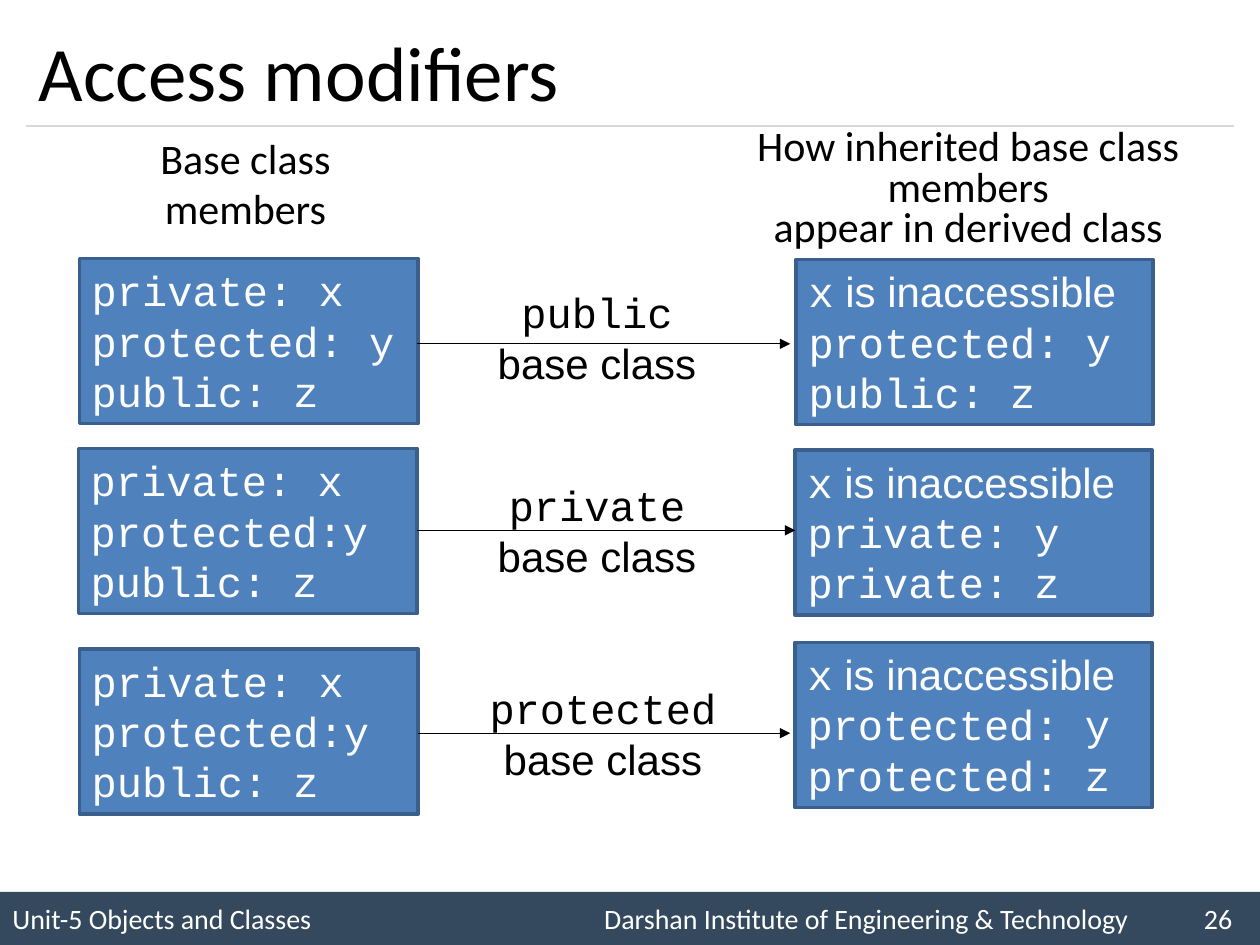
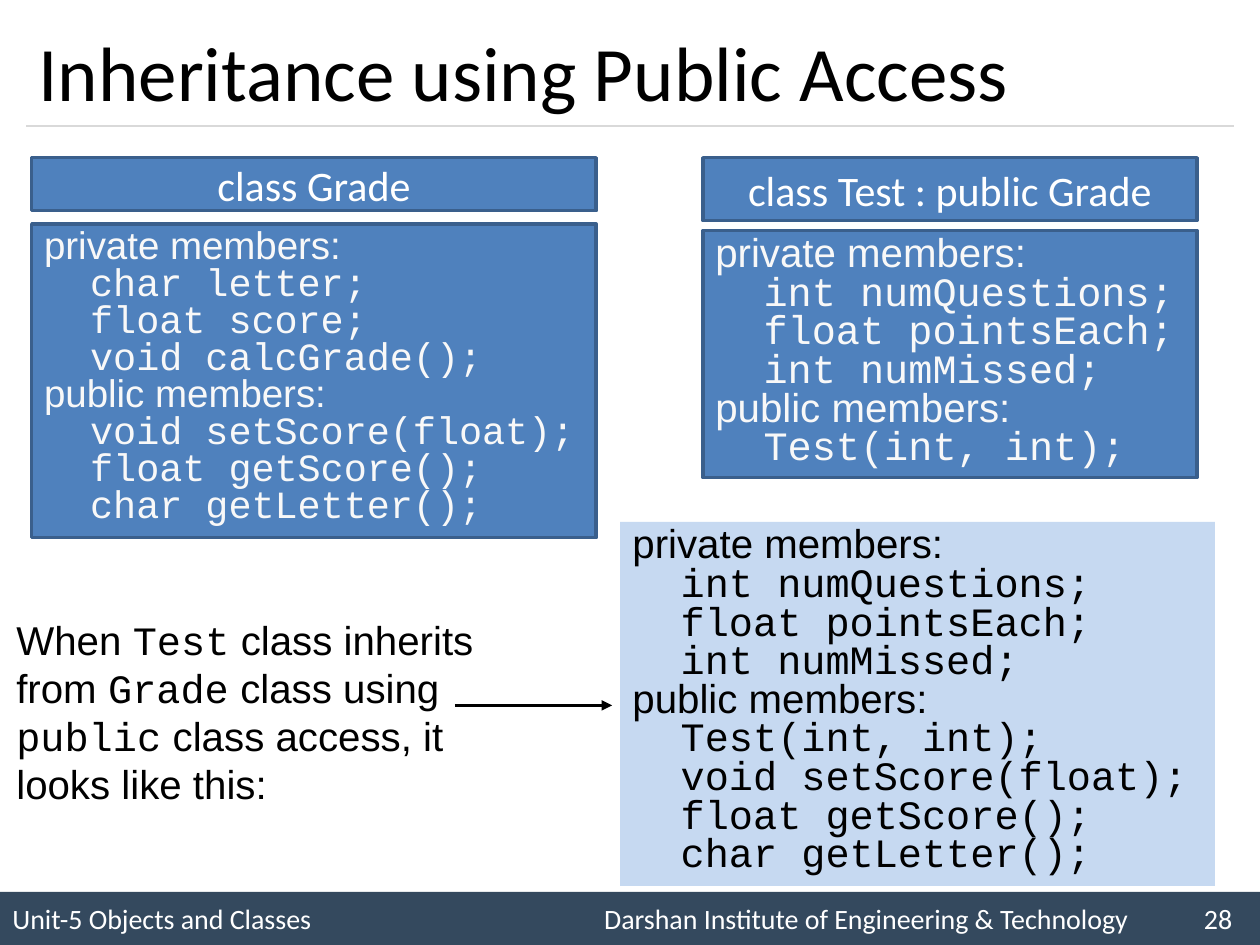
from lxml.etree import SubElement
from pptx import Presentation
from pptx.dml.color import RGBColor
from pptx.enum.shapes import MSO_CONNECTOR, MSO_SHAPE
from pptx.enum.text import MSO_ANCHOR, PP_ALIGN
from pptx.oxml.ns import qn
from pptx.util import Cm, Pt

BLACK = RGBColor(0x00, 0x00, 0x00)
WHITE = RGBColor(0xFF, 0xFF, 0xFF)
NEAR_WHITE = RGBColor(0xFD, 0xFD, 0xFD)
SOFT_WHITE = RGBColor(0xF8, 0xF8, 0xF8)
BLUE = RGBColor(0x4F, 0x81, 0xBD)
DARK_BLUE = RGBColor(0x3A, 0x5F, 0x8C)
PALE_BLUE = RGBColor(0xC6, 0xD9, 0xF1)
SLATE = RGBColor(0x34, 0x49, 0x5E)
GREY = RGBColor(0xD9, 0xD9, 0xD9)

HEADING, BODY, CODE = "Calibri", "Arial", "Courier New"
CENTRED = {"alignment": PP_ALIGN.CENTER}
TIGHT = {"line_spacing": 0.8}
MIDDLE = MSO_ANCHOR.MIDDLE


def add_box(slide, place, paragraphs, size, color, fill=None, line=None,
            anchor=MSO_ANCHOR.TOP, layout={}):
    """Add a rectangle; each paragraph is a list of (text, font name) runs."""
    shape = slide.shapes.add_shape(MSO_SHAPE.RECTANGLE, *map(Cm, place))
    shape.shadow.inherit = False
    if fill is None:
        shape.fill.background()
    else:
        shape.fill.solid()
        shape.fill.fore_color.rgb = fill
    if line is None:
        shape.line.fill.background()
    else:
        shape.line.color.rgb = line
        shape.line.width = Pt(2)
    frame = shape.text_frame
    frame.word_wrap = True
    frame.vertical_anchor = anchor
    for index, runs in enumerate(paragraphs):
        paragraph = frame.add_paragraph() if index else frame.paragraphs[0]
        for name, value in ({"alignment": PP_ALIGN.LEFT} | layout).items():
            setattr(paragraph, name, value)
        for text, font_name in runs:
            run = paragraph.add_run()
            run.text = text
            for name, value in {"name": font_name, "size": Pt(size)}.items():
                setattr(run.font, name, value)
            run.font.color.rgb = color
    return shape


def add_line(slide, left, right, y, color=BLACK, width=0.75, arrow=True):
    connector = slide.shapes.add_connector(
        MSO_CONNECTOR.STRAIGHT, Cm(left), Cm(y), Cm(right), Cm(y))
    connector.line.color.rgb = color
    connector.line.width = Pt(width)
    if arrow:
        SubElement(connector.line._get_or_add_ln(), qn("a:tailEnd"), type="triangle")
    SubElement(connector._element.spPr, qn("a:effectLst"))


presentation = Presentation()
presentation.slide_width = Cm(25.4)
presentation.slide_height = Cm(19.05)

# Shared frame: footer band, rule and title
slides = []
for title, number in [("Access modifiers", 26), ("Inheritance using Public Access", 28)]:
    slide = presentation.slides.add_slide(presentation.slide_layouts[6])
    footer_text = ("Unit-5 Objects and Classes\t"
                   f"Darshan Institute of Engineering & Technology\t{number}")
    footer = add_box(slide, (0, 17.98, 25.4, 1.07), [[(footer_text, HEADING)]],
                     16, WHITE, SLATE, anchor=MIDDLE)
    properties = footer.text_frame.paragraphs[0]._p.get_or_add_pPr()
    tabs = SubElement(properties, qn("a:tabLst"))
    for position in (11.93, 24.02):
        SubElement(tabs, qn("a:tab"), pos=str(Cm(position)), algn="l")
    add_line(slide, 0.53, 24.87, 2.54, GREY, arrow=False)
    add_box(slide, (0.53, 0.3, 24.34, 2.24), [[(title, HEADING)]], 44, BLACK, anchor=MIDDLE)
    slides.append(slide)
modifiers_slide, inheritance_slide = slides

# Access modifiers: column headings
add_box(modifiers_slide, (1.8, 2.54, 6.3, 2.31), [[("Base class members", HEADING)]],
        24, BLACK, layout=CENTRED)
add_box(modifiers_slide, (14.68, 2.49, 9.68, 2.72),
        [[("How inherited base class members", HEADING)],
         [("appear in derived class", HEADING)]],
        24, BLACK, layout=CENTRED | TIGHT)

# Access modifiers: one row for each kind of inheritance
# access, base members, derived members, base place, derived place, label place, arrow
rows = [
    ("public", ["private: x", "protected: y", "public: z"], ["protected: y", "public: z"],
     (1.6, 5.21), (16.05, 5.23), (8.9, 5.66), (8.41, 15.93, 6.93)),
    ("private", ["private: x", "protected:y", "public: z"], ["private: y", "private: z"],
     (1.58, 9.04), (16.03, 9.07), (8.9, 9.55), (8.41, 16.03, 10.69)),
    ("protected", ["private: x", "protected:y", "public: z"], ["protected: y", "protected: z"],
     (1.6, 13.08), (16.03, 12.95), (9.02, 13.64), (8.43, 15.93, 14.78)),
]
for access, base, derived, base_place, derived_place, label_place, arrow in rows:
    base_runs = [[(member, CODE)] for member in base]
    derived_runs = [[("x", CODE), (" is inaccessible", BODY)]]
    derived_runs += [[(member, CODE)] for member in derived]
    add_box(modifiers_slide, (*base_place, 6.83, 3.33), base_runs,
            24, NEAR_WHITE, BLUE, DARK_BLUE)
    add_box(modifiers_slide, (*derived_place, 7.19, 3.33), derived_runs,
            24, NEAR_WHITE, BLUE, DARK_BLUE)
    add_line(modifiers_slide, *arrow)
    add_box(modifiers_slide, (*label_place, 6.27, 2.31),
            [[(access, CODE)], [("base class", BODY)]], 24, BLACK, layout=CENTRED)

# Inheritance: class name bars
for name, place in [("class Grade", (0.64, 3.18, 11.38, 1.07)),
                    ("class Test : public Grade", (14.17, 3.18, 9.96, 1.27))]:
    add_box(inheritance_slide, place, [[(name, HEADING)]], 24, WHITE, BLUE, DARK_BLUE,
            MIDDLE, CENTRED)

# Inheritance: member lists
grade_private = ["char letter;", "float score;", "void calcGrade();"]
grade_public = ["void setScore(float);", "float getScore();", "char getLetter();"]
test_private = ["int numQuestions;", "float pointsEach;", "int numMissed;"]
test_public = ["Test(int, int);"]
member_lists = [
    (grade_private, grade_public, (0.64, 4.52, 11.38, 6.32), 22, SOFT_WHITE, BLUE, DARK_BLUE),
    (test_private, test_public, (14.17, 4.65, 9.96, 4.98), 23, SOFT_WHITE, BLUE, DARK_BLUE),
    (test_private, test_public + grade_public, (12.5, 10.52, 11.99, 7.34),
     23, BLACK, PALE_BLUE, None),
]
for private, public, place, size, color, fill, line in member_lists:
    members = []
    for access, declarations in [("private", private), ("public", public)]:
        members.append([(f"{access} members:", BODY)])
        members += [[("  " + declaration, CODE)] for declaration in declarations]
    add_box(inheritance_slide, place, members, size, color, fill, line, layout=TIGHT)

# Inheritance: explanation and arrow to the result
explanation = [
    [("When ", BODY), ("Test", CODE), (" class inherits", BODY)],
    [("from ", BODY), ("Grade", CODE), (" class using", BODY)],
    [("public", CODE), (" class access, it looks like this:", BODY)],
]
add_box(inheritance_slide, (0.08, 12.27, 10.8, 4.19), explanation, 23, BLACK)
add_line(inheritance_slide, 9.17, 12.34, 14.22, width=2)

presentation.save("out.pptx")
